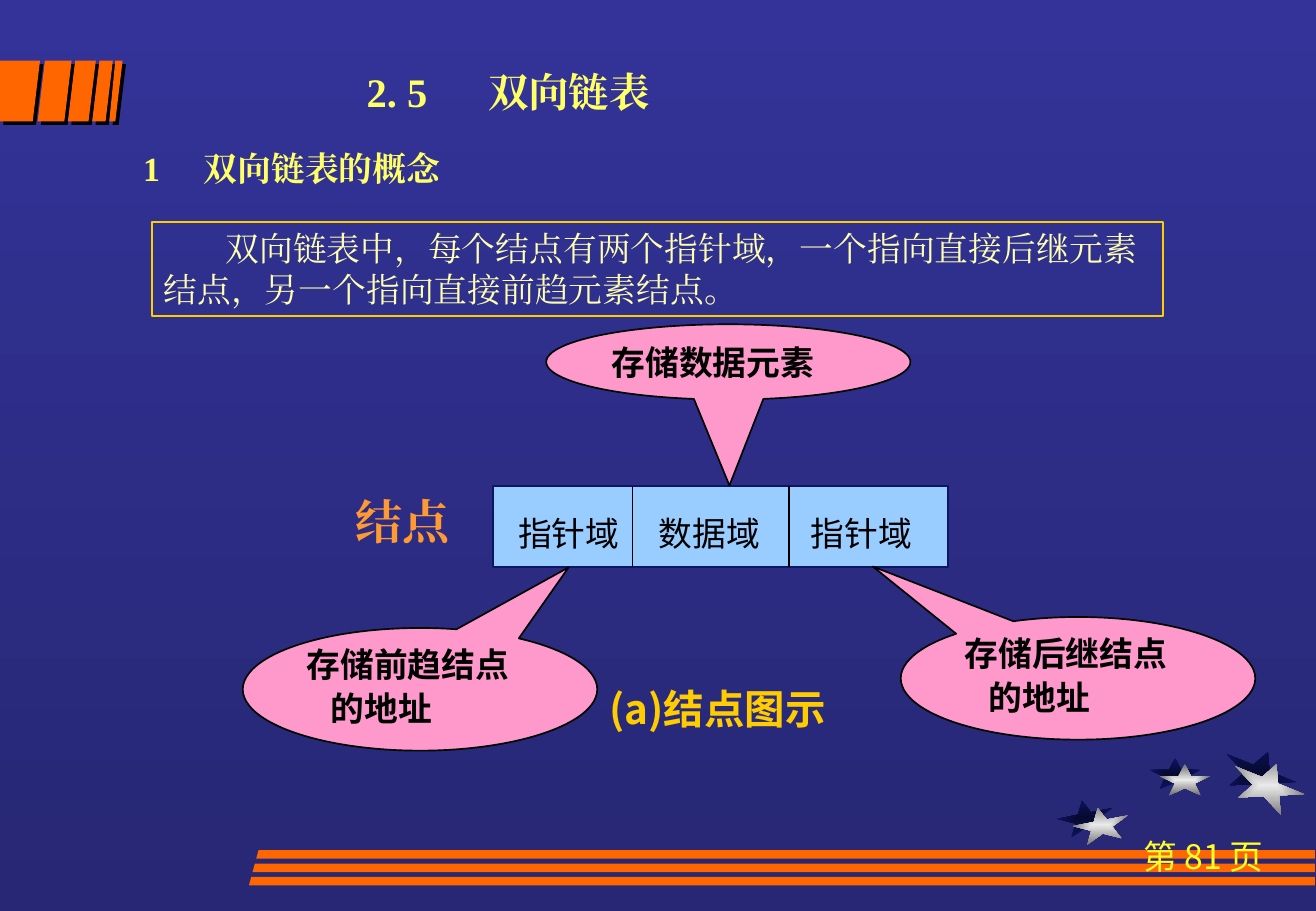
from lxml.etree import SubElement as Sub
from pptx import Presentation
from pptx.dml.color import RGBColor
from pptx.enum.shapes import MSO_CONNECTOR as Link, MSO_SHAPE as Kind
from pptx.enum.text import MSO_ANCHOR as Anchor, PP_ALIGN as Align
from pptx.oxml.ns import qn
from pptx.util import Inches, Pt

TOP = RGBColor(0x33, 0x33, 0x99)
BASE = RGBColor(0x27, 0x27, 0x75)
NIGHT = RGBColor(0x06, 0x0A, 0x2F)
NAVY = RGBColor(0x0D, 0x15, 0x65)
SILVER = RGBColor(0xEA, 0xEA, 0xEA)
GREY = RGBColor(0x6C, 0x6C, 0x6C)
ORANGE = RGBColor(0xFF, 0x66, 0x00)
AMBER = RGBColor(0xFF, 0x99, 0x33)
GOLD = RGBColor(0xFF, 0xCC, 0x00)
LEMON = RGBColor(0xFF, 0xFF, 0x25)
YELLOW = RGBColor(0xFF, 0xFF, 0x66)
CREAM = RGBColor(0xFF, 0xFF, 0xAF)
SKY = RGBColor(0x99, 0xCC, 0xFF)
PINK = RGBColor(0xFF, 0x99, 0xCC)
BLACK = RGBColor(0, 0, 0)
SANS = "Noto Sans CJK SC"
SERIF = "Times New Roman"

deck = Presentation()
deck.slide_width, deck.slide_height = Inches(10.84), Inches(7.5)
slide = deck.slides.add_slide(deck.slide_layouts[5])
shapes = slide.shapes


def write(para, text, size, face, color, bold=False, tab=0, indent=0, left=0):
    para.alignment = Align.LEFT
    props = para._p.get_or_add_pPr()
    props.set("marL", str(Inches(left)))
    props.set("indent", str(Inches(indent)))
    if tab:
        stops = Sub(props, qn("a:tabLst"))
        Sub(stops, qn("a:tab"), pos=str(Inches(tab)), algn="l")
    run = para.add_run()
    run.text = text
    font = run.font
    font.size, font.name, font.bold = Pt(size), face, bold
    font.color.rgb = color
    Sub(run._r.get_or_add_rPr(), qn("a:ea"), typeface=face)


def slab(spots):
    dots = [(Inches(x), Inches(y)) for x, y in spots]
    pen = shapes.build_freeform(*dots[0])
    pen.add_line_segments(dots[1:], close=True)
    form = pen.convert_to_shape()
    form.shadow.inherit = False
    form.fill.solid()
    form.fill.fore_color.rgb = ORANGE
    form.line.fill.background()
    return form


back = slide.background.fill
back.gradient()
back.gradient_angle = 270
for stop, color in zip(back.gradient_stops, (TOP, BASE)):
    stop.color.rgb = color

stars = [
    (NIGHT, NAVY, [(8.71, 6.59, 0.46, 0.28, 349), (9.47, 6.24, 0.42, 0.26, 0),
                   (10.07, 6.18, 0.61, 0.37, 22)]),
    (SILVER, GREY, [(8.84, 6.65, 0.46, 0.28, 349), (9.55, 6.29, 0.42, 0.26, 0),
                    (10.14, 6.28, 0.61, 0.37, 22)]),
]
for core, rim, spots in stars:
    for x, y, w, h, turn in spots:
        star = shapes.add_shape(Kind.STAR_5_POINT, Inches(x), Inches(y), Inches(w), Inches(h))
        star.rotation = turn
        star.shadow.inherit = False
        star.line.fill.background()
        star.fill.gradient()
        for stop, color, place in zip(star.fill.gradient_stops, (core, rim), (0, 1)):
            stop.color.rgb = color
            stop.position = place
        grad = star._element.spPr.find(qn("a:gradFill"))
        grad.remove(grad.find(qn("a:lin")))
        burst = Sub(grad, qn("a:path"), path="rect")
        Sub(burst, qn("a:fillToRect"), l="50000", t="50000", r="50000", b="50000")

bars = [(0, 0, 0.33), (0.37, 0.31, 0.59), (0.62, 0.56, 0.79), (0.82, 0.76, 0.93), (0.95, 0.9, 1.01)]
for left, foot, right in bars:
    bar = slab([(left, 0.5), (right, 0.5), (right - 0.06, 1), (foot, 1)])
    glow = bar._element.spPr.find(qn("a:effectLst"))
    cast = Sub(glow, qn("a:outerShdw"), dist=str(Pt(2.8)), dir="2700000", algn="ctr", rotWithShape="0")
    Sub(cast, qn("a:srgbClr"), val=str(BLACK))

for i in range(3):
    y, x = 7 + 0.11 * i, 2.11 - 0.03 * i
    slab([(x, y + 0.07), (10.83, y + 0.07), (10.83, y), (x + 0.02, y)])

title = shapes.title
title.left, title.top, title.width, title.height = map(Inches, (2.92, 0.5, 3.67, 0.67))
title.text_frame.vertical_anchor = Anchor.TOP
write(title.text_frame.paragraphs[0], "2. 5\t双向链表", 24, SERIF, YELLOW, True, tab=0.92)

cell = shapes.add_shape(Kind.RECTANGLE, Inches(4.06), Inches(4), Inches(3.75), Inches(0.67))
note = shapes.add_shape(Kind.RECTANGLE, Inches(1.25), Inches(1.83), Inches(8.33), Inches(0.77))
for box, color in ((cell, NAVY), (note, GOLD)):
    box.shadow.inherit = False
    box.line.color.rgb = color
    box.line.width = Pt(1)
cell.fill.solid()
cell.fill.fore_color.rgb = SKY
note.fill.background()
note.text_frame.vertical_anchor = Anchor.TOP
write(note.text_frame.paragraphs[0],
      "双向链表中，每个结点有两个指针域，一个指向直接后继元素结点，另一个指向直接前趋元素结点。",
      20, SERIF, CREAM, indent=0.51)

for x in (5.21, 6.5):
    rule = shapes.add_connector(Link.STRAIGHT, Inches(x), Inches(4), Inches(x), Inches(4.67))
    rule.line.color.rgb = BLACK
    rule.line.width = Pt(1)
    Sub(rule._element.spPr, qn("a:effectLst"))

labels = [
    (1.08, 1.17, 3.5, 0.44, "1\t双向链表的概念", 20, SERIF, YELLOW, True, 0.35),
    (4.92, 5.58, 2.58, 0.5, "(a)结点图示", 24, SANS, GOLD, True, 0),
    (4.17, 4.17, 1.08, 0.44, "指针域", 20, SANS, BLACK, False, 0),
    (5.33, 4.17, 1.17, 0.44, "数据域", 20, SANS, BLACK, False, 0),
    (6.58, 4.17, 1.08, 0.44, "指针域", 20, SANS, BLACK, False, 0),
    (2.83, 4, 1.42, 0.57, "结点", 28, SERIF, AMBER, True, 0),
    (9, 6.83, 1.83, 0.84, "第 81 页", 20, SANS, LEMON, False, 0),
]
for x, y, w, h, *style in labels:
    label = shapes.add_textbox(Inches(x), Inches(y), Inches(w), Inches(h))
    label.text_frame.word_wrap = True
    write(label.text_frame.paragraphs[0], *style)
label.text_frame.paragraphs[0].alignment = Align.CENTER

calls = [
    (4.5, 2.67, 3, 0.62, (0.003, 1.64), ["存储数据元素"]),
    (7.42, 5.08, 2.92, 1.01, (-0.579, -0.912), ["存储后继结点", "的地址"]),
    (2, 5.17, 2.92, 1.01, (0.419, -0.994), ["存储前趋结点", "的地址"]),
]
for x, y, w, h, tip, lines in calls:
    call = shapes.add_shape(Kind.OVAL_CALLOUT, Inches(x), Inches(y), Inches(w), Inches(h))
    call.adjustments[0], call.adjustments[1] = tip
    call.shadow.inherit = False
    call.fill.solid()
    call.fill.fore_color.rgb = PINK
    call.line.color.rgb = BLACK
    call.line.width = Pt(1)
    frame = call.text_frame
    frame.vertical_anchor = Anchor.TOP
    first = frame.paragraphs[0]
    if len(lines) > 1:
        first.line_spacing = 0.8
        last = frame.add_paragraph()
        last.line_spacing = 0.5
        last.space_before = Pt(12.5)
        write(last, lines[1], 20, SANS, BLACK, True, left=0.2)
    write(first, lines[0], 20, SANS, BLACK, True)

deck.save("out.pptx")
